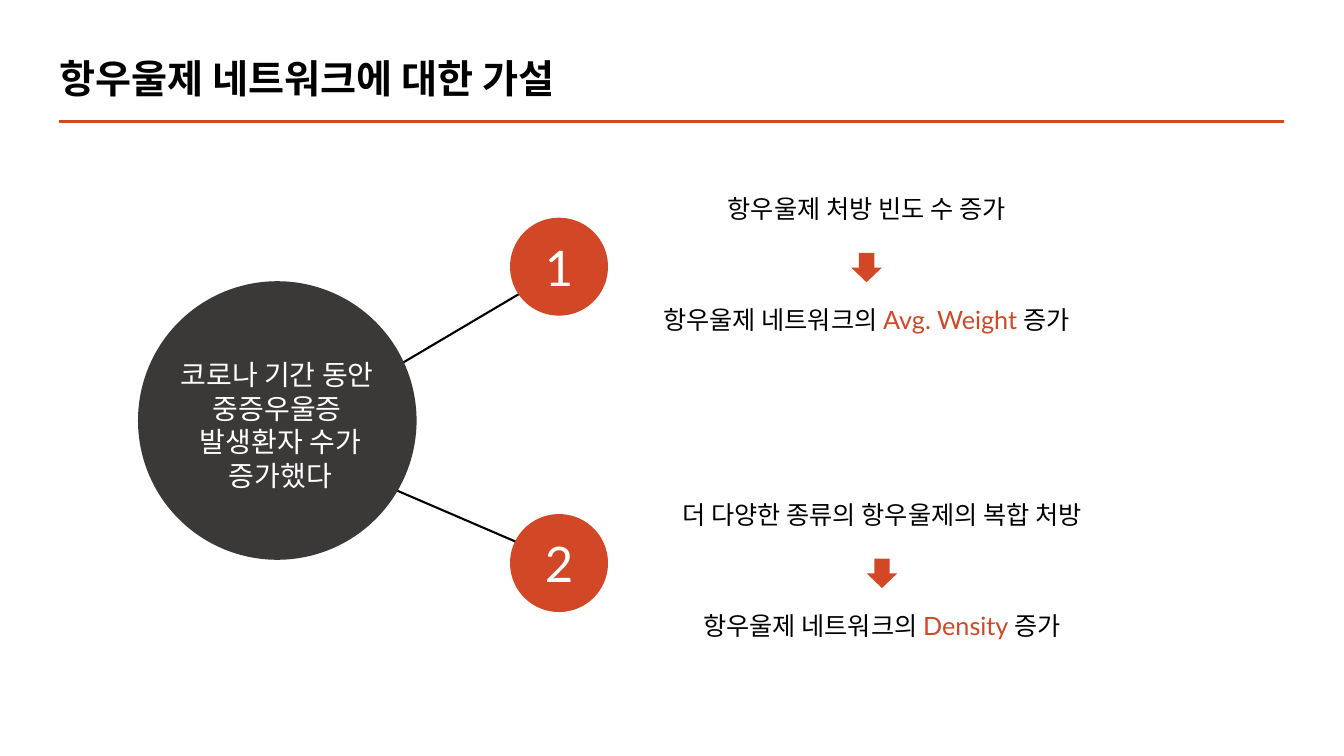
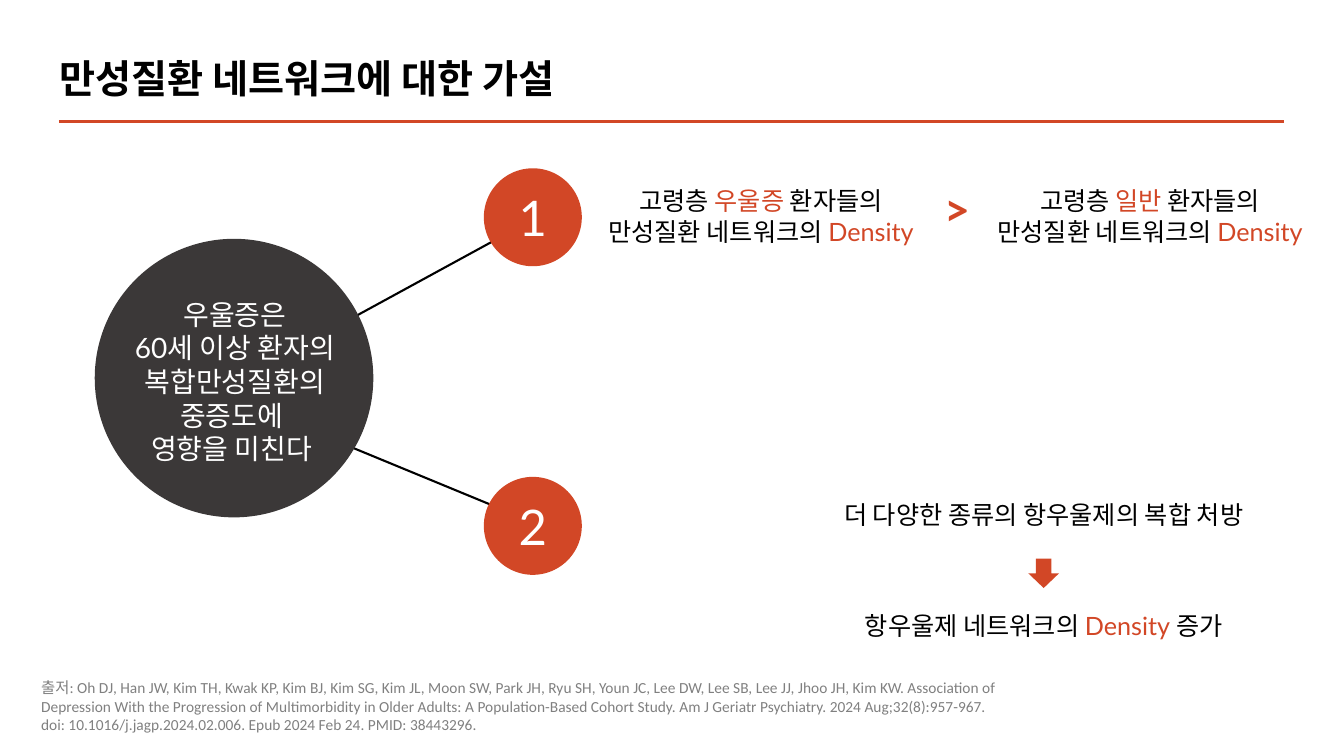
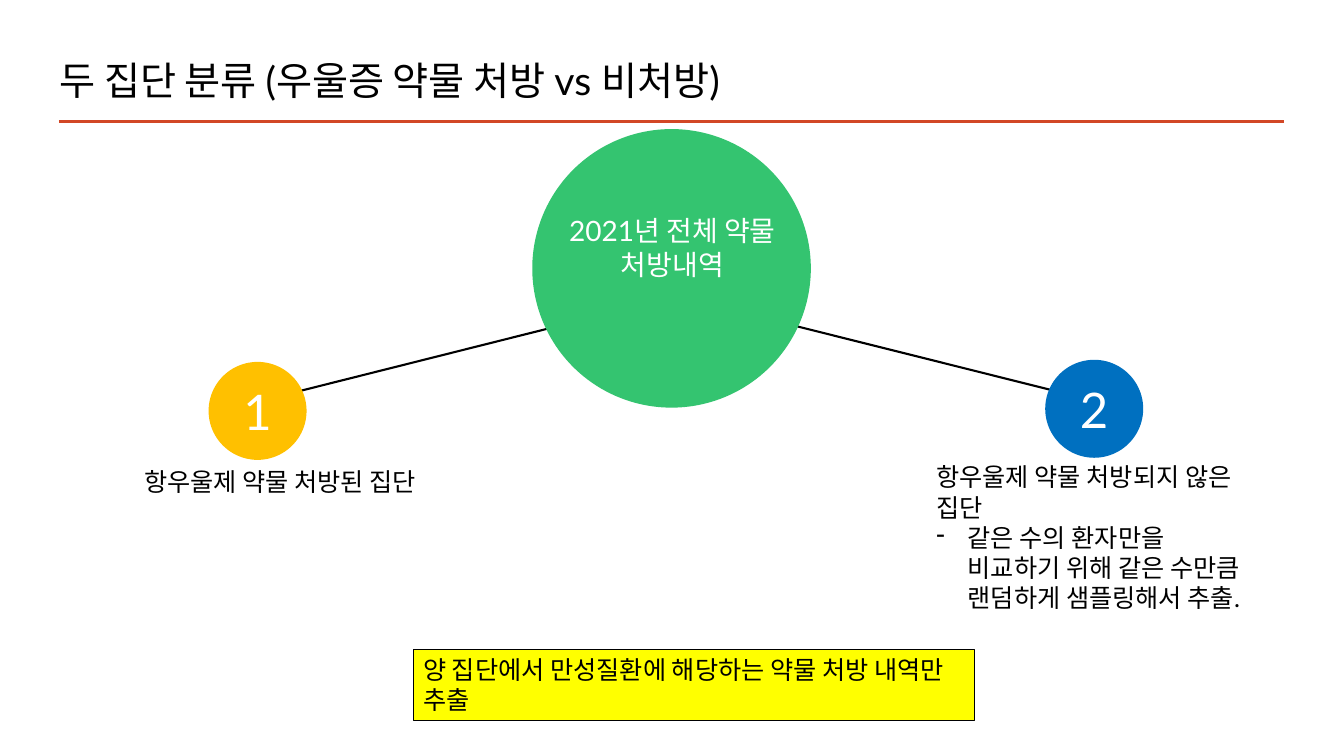
from lxml.etree import SubElement
from pptx import Presentation
from pptx.dml.color import RGBColor
from pptx.enum.shapes import MSO_CONNECTOR, MSO_SHAPE
from pptx.enum.text import MSO_ANCHOR, PP_ALIGN
from pptx.oxml.ns import qn
from pptx.util import Pt

COLORS = {
    "accent": "D24726", "ink": "000000", "white": "FFFFFF", "hub": "3B3838",
    "green": "34C470", "blue": "0070C0", "amber": "FFC000",
    "yellow": "FFFF00", "source": "808080",
}
HUB_SIZE, BADGE_SIZE = 199, 70
ARROW_WIDTH, ARROW_HEIGHT = 22, 21
FLOW_WIDTH = 364


def write(shape, paragraphs, size=18, color="ink", align=PP_ALIGN.CENTER,
          font="Lato", bold=False):
    """Fill a shape with paragraphs, each a list of runs; every second run is accented."""
    frame = shape.text_frame
    frame.word_wrap = True
    for index, runs in enumerate(paragraphs):
        paragraph = frame.paragraphs[0] if index == 0 else frame.add_paragraph()
        paragraph.alignment = align
        for position, text in enumerate(runs):
            run = paragraph.add_run()
            run.text = text
            run.font.name = font
            run.font.size = Pt(size)
            run.font.bold = bold
            shade = "accent" if position % 2 else color
            run.font.color.rgb = RGBColor.from_string(COLORS[shade])
    return frame


def add_solid(slide, preset, box, fill):
    """Add a preset shape with a plain fill, no outline and no shadow."""
    shape = slide.shapes.add_shape(preset, *map(Pt, box))
    shape.shadow.inherit = False
    shape.fill.solid()
    shape.fill.fore_color.rgb = RGBColor.from_string(COLORS[fill])
    shape.line.fill.background()
    return shape


# Content: spokes are (badge corner, badge colour, line start, line end),
# flows are (centre, top, cause, effect)
density_flow = ("더 다양한 종류의 항우울제의 복합 처방",
                ["항우울제 네트워크의 ", "Density ", "증가"])
topics = [
    {
        "title": "항우울제 네트워크에 대한 가설", "title_top": 32.4, "bold": True,
        "hub": (98.6, 200.9), "hub_color": "hub", "hub_text": (115.2, 252, 88),
        "hub_lines": ["코로나 기간 동안 ", "중증우울증 ", "발생환자 수가 증가했다"],
        "spokes": [((364.3, 155.5), "accent", (200, 311), (404.6, 190)),
                   ((364.3, 367.2), "accent", (192, 311), (404.6, 402.5))],
        "flows": [(619, 134.6, "항우울제 처방 빈도 수 증가",
                   ["항우울제 네트워크의 ", "Avg. Weight ", "증가"]),
                  (630, 353, *density_flow)],
    },
    {
        "title": "만성질환 네트워크에 대한 가설", "title_top": 32.4, "bold": True,
        "hub": (67.7, 170.6), "hub_color": "hub", "hub_text": (82.8, 208.8, 128),
        "hub_lines": ["우울증은", "60세 이상 환자의 복합만성질환의", "중증도에 ", "영향을 미친다 "],
        "spokes": [((345.6, 120.2), "accent", (167.8, 272.9), (380.2, 157)),
                   ((345.6, 340.6), "accent", (176.4, 288.7), (385.9, 375.1))],
        "flows": [(745.5, 353, *density_flow)],
    },
    {
        "title": "두 집단 분류 (우울증 약물 처방 vs 비처방)", "title_top": 33.8, "bold": False,
        "hub": (380.2, 92.2), "hub_color": "green", "hub_text": (395.3, 149, 55),
        "hub_lines": ["2021년 전체 약물 처방내역"],
        "spokes": [((149, 258.5), "amber", (480.2, 212.4), (196.6, 283.7)),
                   ((746.6, 257), "blue", (483.8, 211.7), (776.9, 285.1))],
        "flows": [],
    },
]

deck = Presentation()
deck.slide_width, deck.slide_height = Pt(960), Pt(540)
slides = []

for topic in topics:
    slide = deck.slides.add_slide(deck.slide_layouts[6])
    slides.append(slide)

    # Title rule and spoke lines
    lines = [((42, 87), (917, 87), "accent", 2)]
    lines += [(start, end, "ink", 1.5) for _, _, start, end in topic["spokes"]]
    for start, end, color, width in lines:
        line = slide.shapes.add_connector(MSO_CONNECTOR.STRAIGHT, *map(Pt, start + end))
        line.line.color.rgb = RGBColor.from_string(COLORS[color])
        line.line.width = Pt(width)
        SubElement(line._element.spPr, qn("a:effectLst"))

    # Title
    title = slide.shapes.add_textbox(Pt(35.3), Pt(topic["title_top"]), Pt(720), Pt(50.4))
    frame = write(title, [[topic["title"]]], 28, align=PP_ALIGN.LEFT, bold=topic["bold"])
    frame.vertical_anchor = MSO_ANCHOR.MIDDLE
    frame.paragraphs[0].line_spacing = 0.9

    # Hub
    add_solid(slide, MSO_SHAPE.OVAL, (*topic["hub"], HUB_SIZE, HUB_SIZE), topic["hub_color"])
    left, top, height = topic["hub_text"]
    statement = slide.shapes.add_textbox(Pt(left), Pt(top), Pt(170), Pt(height))
    write(statement, [[text] for text in topic["hub_lines"]], 20, "white")

    # Numbered badges
    for number, (corner, color, _, _) in enumerate(topic["spokes"], 1):
        badge = add_solid(slide, MSO_SHAPE.OVAL, (*corner, BADGE_SIZE, BADGE_SIZE), color)
        frame = write(badge, [[str(number)]], 35, "white")
        frame.vertical_anchor = MSO_ANCHOR.MIDDLE
        frame.margin_left = frame.margin_top = frame.margin_right = frame.margin_bottom = 0

    # Cause, arrow, effect
    for center, top, cause, effect in topic["flows"]:
        for offset, runs in ((0, [cause]), (79.5, effect)):
            step = slide.shapes.add_textbox(Pt(center - FLOW_WIDTH / 2), Pt(top + offset),
                                            Pt(FLOW_WIDTH), Pt(29))
            write(step, [runs])
        add_solid(slide, MSO_SHAPE.DOWN_ARROW,
                  (center - ARROW_WIDTH / 2, top + 46, ARROW_WIDTH, ARROW_HEIGHT), "accent")

# Chronic disease slide: density comparison
chronic, groups = slides[1], slides[2]
for left, patients in ((413.3, "우울증"), (691.2, "일반")):
    side = chronic.shapes.add_textbox(Pt(left), Pt(129), Pt(260.6), Pt(51))
    write(side, [["고령층 ", patients, " 환자들의"], ["만성질환 네트워크의 ", "Density"]])
greater = chronic.shapes.add_textbox(Pt(667.4), Pt(126), Pt(39), Pt(46))
write(greater, [[">"]], 32, "accent", PP_ALIGN.LEFT, bold=True)

# Chronic disease slide: source
source = chronic.shapes.add_textbox(Pt(22.3), Pt(481), Pt(734.4), Pt(47.5))
write(source, [
    ["출저: Oh DJ, Han JW, Kim TH, Kwak KP, Kim BJ, Kim SG, Kim JL, Moon SW, Park JH, "
     "Ryu SH, Youn JC, Lee DW, Lee SB, Lee JJ, Jhoo JH, Kim KW. Association of Depression "
     "With the Progression of Multimorbidity in Older Adults: A Population-Based Cohort "
     "Study. Am J Geriatr Psychiatry. 2024 Aug;32(8):957-967."],
    ["doi: 10.1016/j.jagp.2024.02.006. Epub 2024 Feb 24. PMID: 38443296."],
], 11, "source", PP_ALIGN.LEFT, "Calibri")

# Two groups slide: group descriptions
treated = groups.shapes.add_textbox(Pt(95.8), Pt(329.8), Pt(240), Pt(29))
write(treated, [["항우울제 약물 처방된 집단"]], align=PP_ALIGN.LEFT)
untreated = groups.shapes.add_textbox(Pt(661.7), Pt(326.2), Pt(240), Pt(138))
frame = write(untreated, [
    ["항우울제 약물 처방되지 않은 집단"],
    ["같은 수의 환자만을 비교하기 위해 같은 수만큼 랜덤하게 샘플링해서 추출."],
], align=PP_ALIGN.LEFT)
sampling = frame.paragraphs[1]._p.get_or_add_pPr()
sampling.set("marL", str(Pt(22.5)))
sampling.set("indent", str(-Pt(22.5)))
SubElement(sampling, qn("a:buChar")).set("char", "-")

# Two groups slide: extraction note
note = add_solid(groups, MSO_SHAPE.RECTANGLE, (295.2, 463.7, 401, 51), "yellow")
note.line.color.rgb = RGBColor.from_string(COLORS["ink"])
note.line.width = Pt(0.75)
frame = write(note, [["양 집단에서 만성질환에 해당하는 약물 처방 내역만 추출"]], align=PP_ALIGN.LEFT)
frame.vertical_anchor = MSO_ANCHOR.TOP

deck.save("out.pptx")
